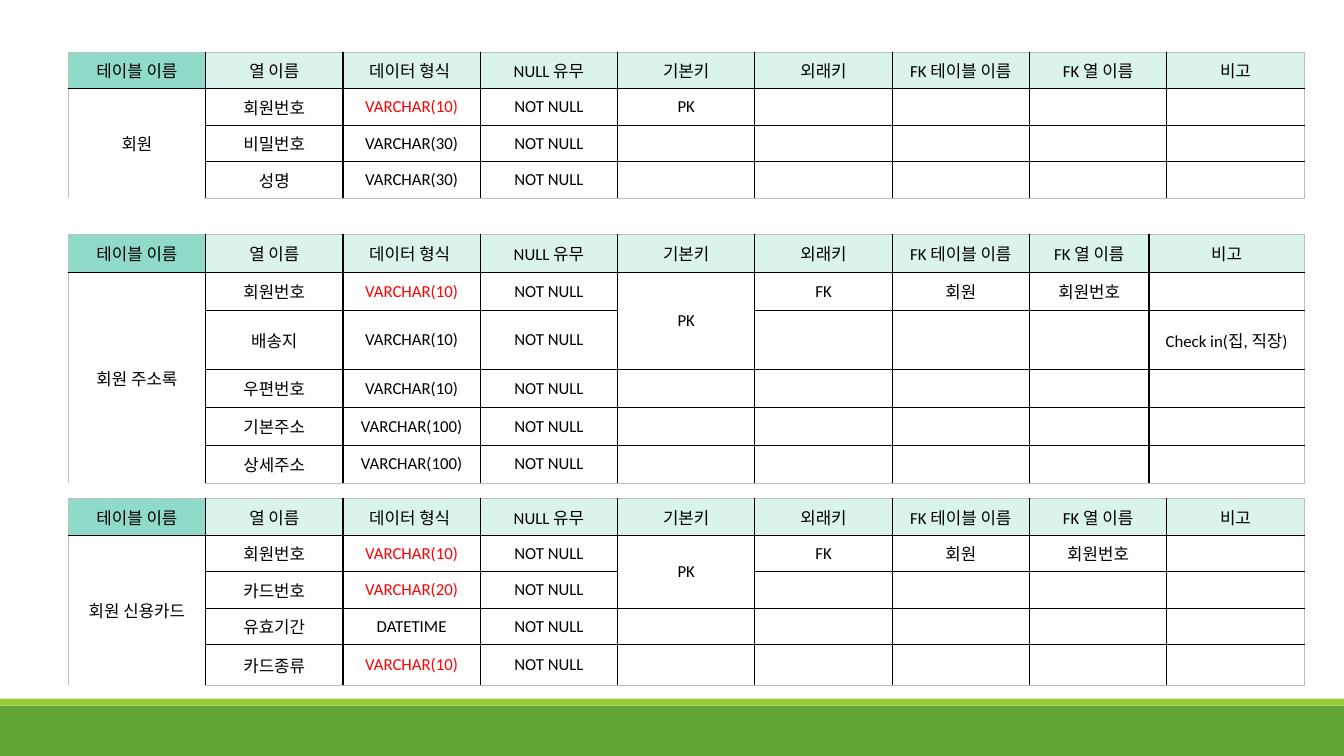
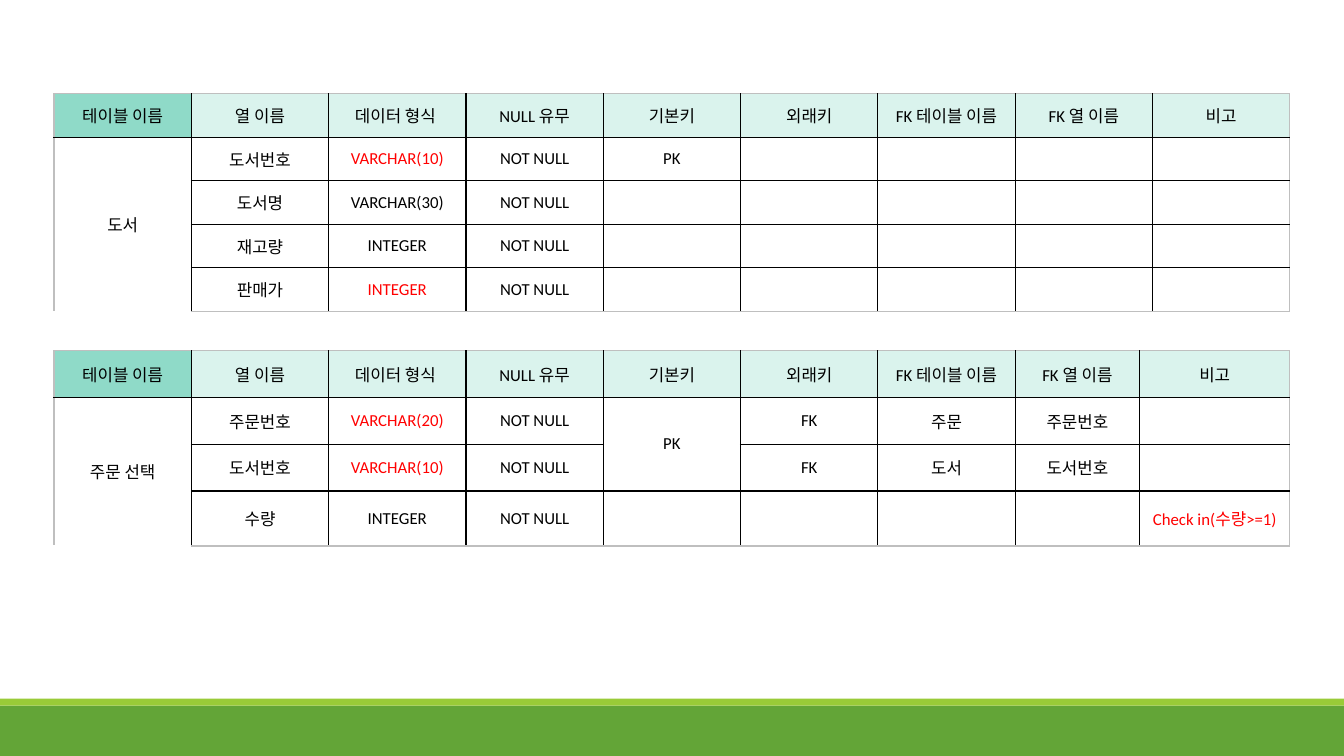
from pptx import Presentation
from pptx.dml.color import RGBColor
from pptx.enum import shapes, text
from pptx.oxml import ns
from pptx.util import Pt
from lxml import etree

COLORS = {
    "band": "63A537", "strip": "99CB38", "name": "8FDAC8", "head": "DAF3ED",
    "body": "FFFFFF", "text": "000000", "red": "FF0000",
    "grid": "000000", "edge": "BFBFBF",
}
FONT, SIZE = "Calibri", 12
WIDE, HIGH = 960, 540
COL = 98.1  # regular column width
HEAD = ["테이블 이름", "열 이름", "데이터 형식 ", "NULL 유무", "기본키",
        "외래키", "FK 테이블 이름", "FK 열 이름", "비고"]
RED = "!"   # prefix of a text set in red
JOIN = "^"  # cell joined to the one above

# Rows: column, type, then optional primary key, foreign key,
# foreign table, foreign column and note
MEMBER = [
    ("회원번호", "!VARCHAR(10)", "PK"),
    ("비밀번호", "VARCHAR(30)"),
    ("성명", "VARCHAR(30)"),
]
ADDRESS = [
    ("회원번호", "!VARCHAR(10)", "PK", "FK", "회원", "회원번호"),
    ("배송지", "VARCHAR(10)", JOIN, "", "", "", "Check in(집, 직장)"),
    ("우편번호", "VARCHAR(10)"),
    ("기본주소", "VARCHAR(100)"),
    ("상세주소", "VARCHAR(100)"),
]
CARD = [
    ("회원번호", "!VARCHAR(10)", "PK", "FK", "회원", "회원번호"),
    ("카드번호", "!VARCHAR(20)", JOIN),
    ("유효기간", "DATETIME"),
    ("카드종류", "!VARCHAR(10)"),
]
BOOK = [
    ("도서번호", "!VARCHAR(10)", "PK"),
    ("도서명", "VARCHAR(30)"),
    ("재고량", "INTEGER"),
    ("판매가", "!INTEGER"),
]
ORDER = [
    ("주문번호", "!VARCHAR(20)", "PK", "FK", "주문", "주문번호"),
    ("도서번호", "!VARCHAR(10)", JOIN, "FK", "도서", "도서번호"),
    ("수량", "INTEGER", "", "", "", "", "!Check in(수량>=1)"),
]


def rgb(key):
    return RGBColor.from_string(COLORS[key])


def add_band(slide, top, height, color):
    band = slide.shapes.add_shape(shapes.MSO_SHAPE.RECTANGLE,
                                  Pt(0), Pt(top), Pt(WIDE), Pt(height))
    band.shadow.inherit = False
    band.fill.solid()
    band.fill.fore_color.rgb = rgb(color)
    band.line.fill.background()


def add_page(deck):
    slide = deck.slides.add_slide(deck.slide_layouts[6])
    add_band(slide, 504, 36, "band")
    add_band(slide, 499, 5, "strip")
    return slide


def set_edge(cell, side, color):
    props = cell._tc.get_or_add_tcPr()
    line = etree.SubElement(props, ns.qn("a:ln" + side), w=str(Pt(1)))
    fill = etree.SubElement(line, ns.qn("a:solidFill"))
    etree.SubElement(fill, ns.qn("a:srgbClr"), val=COLORS[color])


def fill_cell(cell, words, fill):
    cell.fill.solid()
    cell.fill.fore_color.rgb = rgb(fill)
    cell.vertical_anchor = text.MSO_ANCHOR.MIDDLE
    cell.text = words.removeprefix(RED)
    para = cell.text_frame.paragraphs[0]
    para.alignment = text.PP_ALIGN.CENTER
    para.font.name = FONT
    para.font.size = Pt(SIZE)
    para.font.color.rgb = rgb("red" if words.startswith(RED) else "text")


def make_grid(name, rows):
    """Expand the short rows to the full width of the table."""
    grid = [HEAD]
    for num, (field, kind, *rest) in enumerate(rows):
        row = [JOIN if num else name, field, kind, "NOT NULL", *rest]
        grid.append(row + [""] * (len(HEAD) - len(row)))
    return grid


def add_schema(slide, name, rows, left, top, high, note=COL, last=None):
    grid = make_grid(name, rows)
    count, width = len(grid), len(HEAD)
    frame = slide.shapes.add_table(count, width, Pt(left), Pt(top),
                                   Pt(COL * width), Pt(high * count))
    table = frame.table
    table.first_row = table.horz_banding = False

    # Column widths: the last two share two regular columns
    for col in table.columns:
        col.width = Pt(COL)
    table.columns[width - 2].width = Pt(2 * COL - note)
    table.columns[width - 1].width = Pt(note)
    for row in table.rows:
        row.height = Pt(high)
    if last:
        table.rows[count - 1].height = Pt(last)

    # Cells: black grid inside, grey edge outside
    for r, row in enumerate(grid):
        for c, words in enumerate(row):
            cell = table.cell(r, c)
            below = r + 1 < count and grid[r + 1][c] == JOIN
            set_edge(cell, "L", "grid" if c else "edge")
            set_edge(cell, "R", "grid" if c < width - 1 else "edge")
            if words != JOIN:
                set_edge(cell, "T", "grid" if r else "edge")
            if not below:
                set_edge(cell, "B", "grid" if r < count - 1 else "edge")
            fill = "body" if r else "head" if c else "name"
            fill_cell(cell, "" if words == JOIN else words, fill)

    # Joined cells
    for c in range(width):
        joined = [r for r in range(count) if grid[r][c] == JOIN]
        if joined:
            table.cell(joined[0] - 1, c).merge(table.cell(joined[-1], c))


def main():
    deck = Presentation()
    deck.slide_width, deck.slide_height = Pt(WIDE), Pt(HIGH)

    # Member tables
    page = add_page(deck)
    add_schema(page, "회원 신용카드", CARD, 48.8, 356.2, 26.1, last=29)
    add_schema(page, "회원", MEMBER, 48.8, 37.4, 26.1)
    add_schema(page, "회원 주소록", ADDRESS, 48.8, 167.6, 27.1, note=110.8)

    # Book and order tables
    page = add_page(deck)
    add_schema(page, "도서", BOOK, 38.6, 66.9, 31.1)
    add_schema(page, "주문 선택", ORDER, 38.6, 250.5, 33.4, note=107.3)

    deck.save("out.pptx")


if __name__ == "__main__":
    main()
